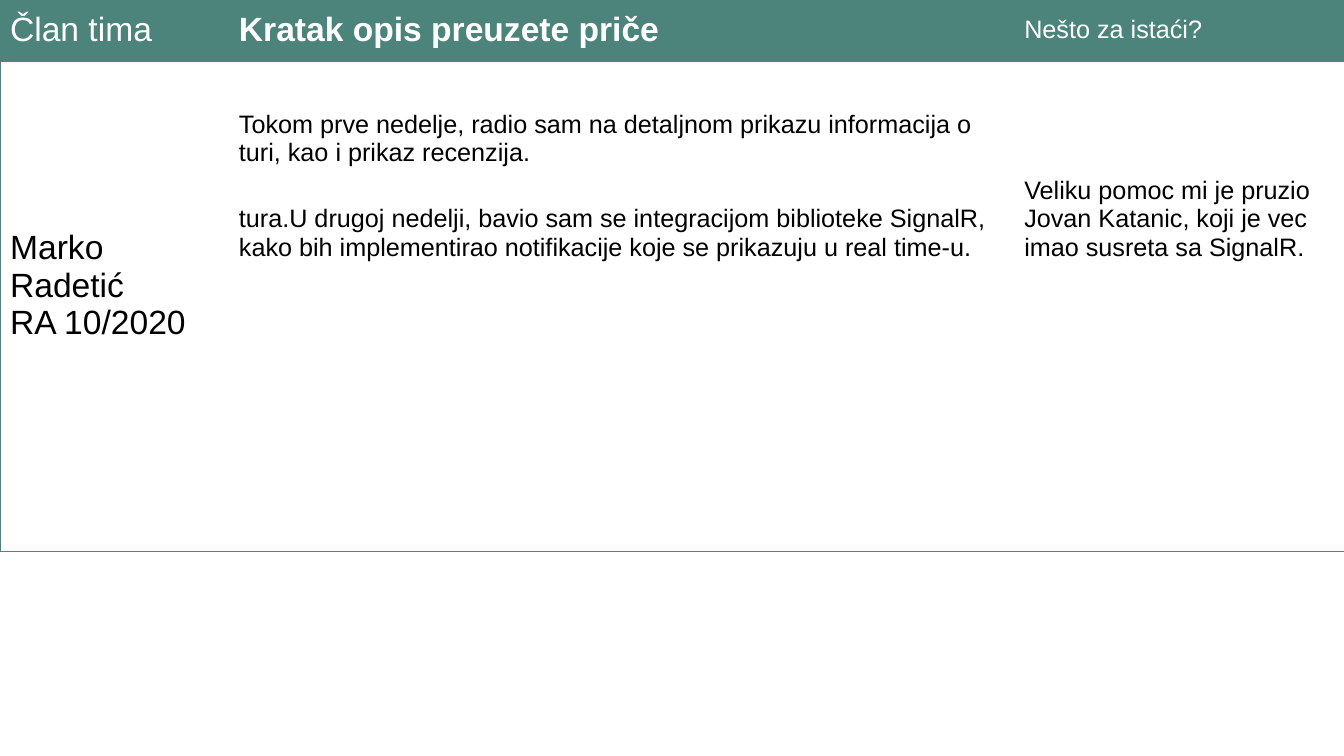
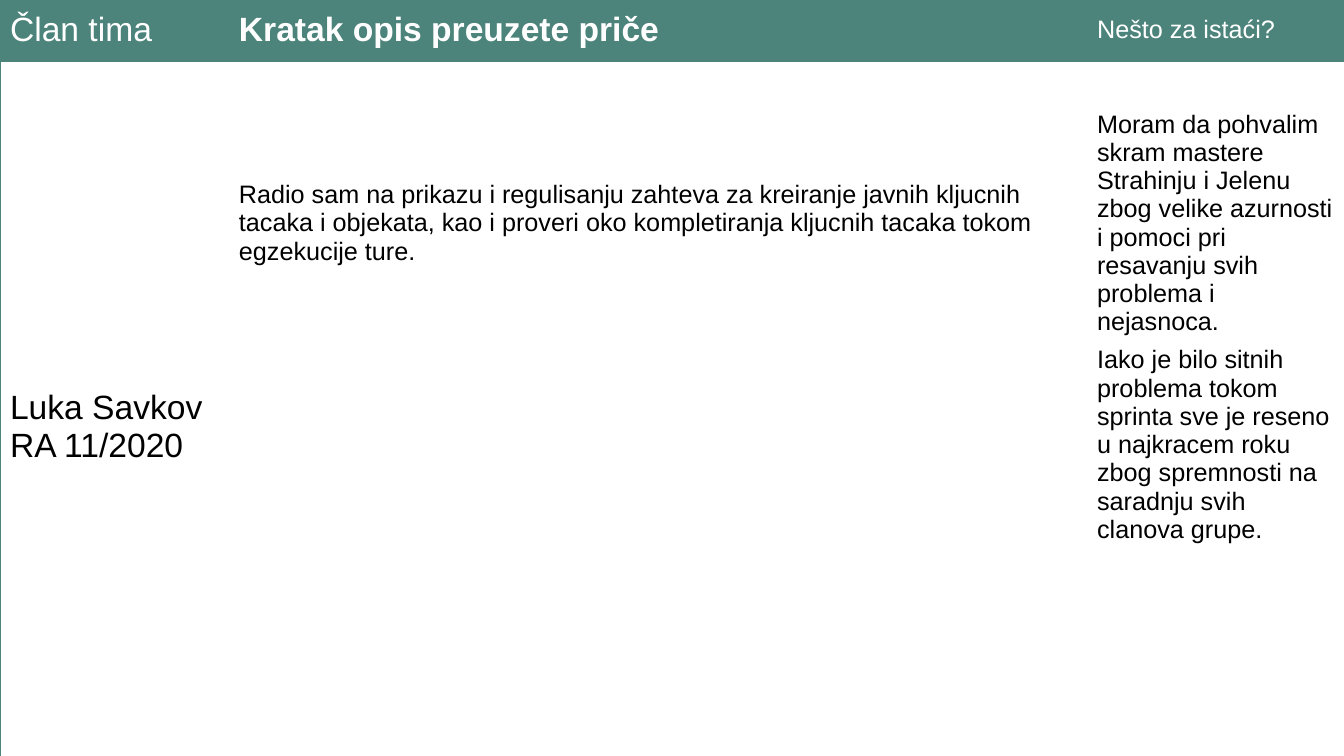
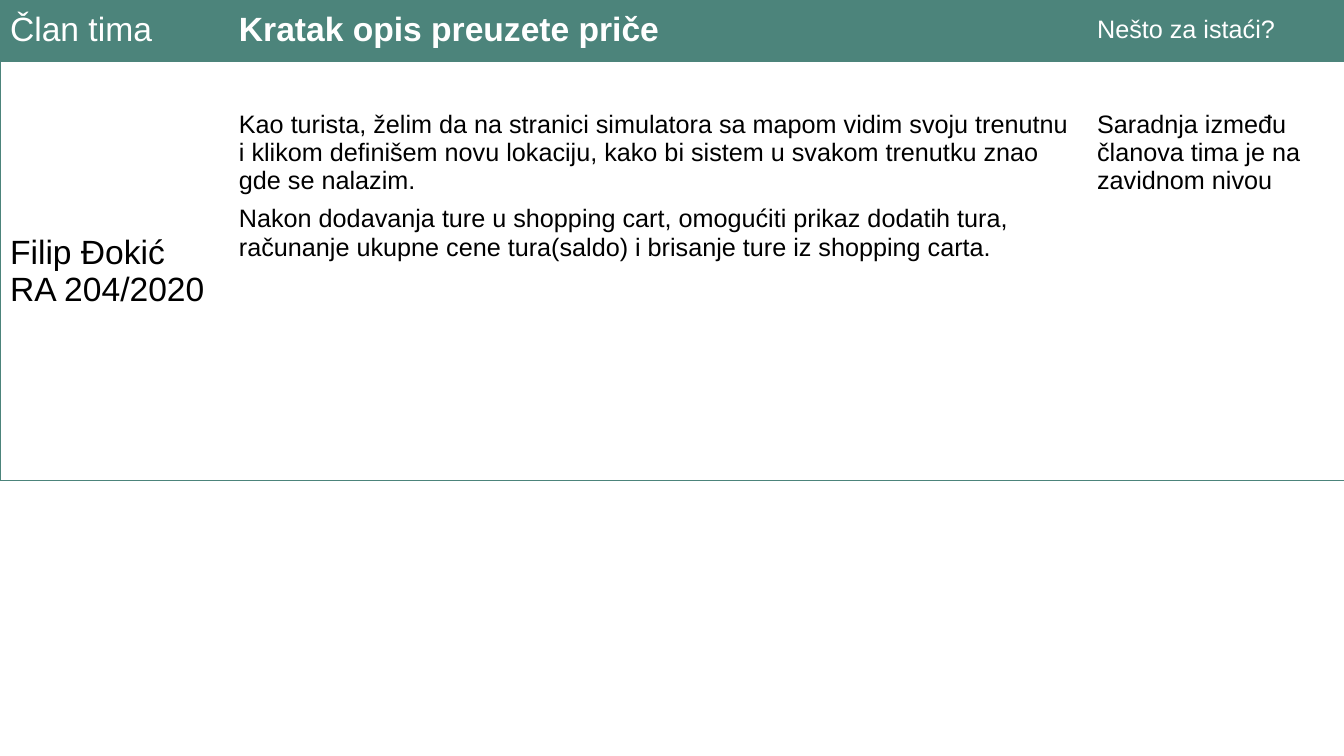
from lxml.etree import SubElement
from pptx import Presentation
from pptx.dml.color import RGBColor
from pptx.enum.text import MSO_ANCHOR
from pptx.oxml.ns import qn
from pptx.util import Pt

GREEN = RGBColor(0x4C, 0x84, 0x7B)
WHITE = RGBColor(0xFF, 0xFF, 0xFF)
BLACK = RGBColor(0x00, 0x00, 0x00)

HEADINGS = [("Član tima", 24, False), ("Kratak opis preuzete priče", 24, True), ("Nešto za istaći?", 18, False)]
TABLE_WIDTH = 961
TABLE_TOP = -2.2
MEMBER_WIDTH = 163.5
HEADER_HEIGHT = 46.8
ROW_HEIGHT = 30.6
LINE_HEIGHT = 20.15
CELL_PADDING = 7.2
MEMBER_ROWS = 8


class TeamReport:
    """Holds the report style and the current slide."""

    font = "Arial"
    border_width = 0.75

    def __init__(self):
        """Start a widescreen presentation."""
        self.presentation = Presentation()
        self.presentation.slide_width = Pt(960)
        self.presentation.slide_height = Pt(540)
        self.slide = None

    def add_slide(self):
        """Add a blank slide and make it current."""
        self.slide = self.presentation.slides.add_slide(self.presentation.slide_layouts[6])

    def set_borders(self, cell, sides):
        """Draw the named sides of a cell and clear the others."""
        properties = cell._tc.get_or_add_tcPr()
        for side in "LRTB":
            line = SubElement(properties, qn(f"a:ln{side}"), w=str(Pt(self.border_width)))
            if side in sides:
                fill = SubElement(line, qn("a:solidFill"))
                SubElement(fill, qn("a:srgbClr"), val=str(GREEN))
            else:
                SubElement(line, qn("a:noFill"))

    def write_cell(self, cell, text, size, color=BLACK, bold=False, anchor=MSO_ANCHOR.MIDDLE):
        """Fill a cell with text in the report font."""
        cell.vertical_anchor = anchor
        cell.text_frame.text = text
        for paragraph in cell.text_frame.paragraphs:
            for run in paragraph.runs:
                run.font.name = self.font
                run.font.size = Pt(size)
                run.font.bold = bold
                run.font.color.rgb = color

    def style_cell(self, cell, row, column, last_row):
        """Give a cell its borders and fill according to its place."""
        sides = {0: "L", 2: "R"}.get(column, "")
        if row == 0:
            sides += "T"
        closes_member = row >= MEMBER_ROWS or cell.is_merge_origin
        if row == last_row or (row and row % 2 == 0 and column) or (column == 0 and closes_member):
            sides += "B"
        self.set_borders(cell, sides)
        if row == 0:
            cell.fill.solid()
            cell.fill.fore_color.rgb = GREEN
        else:
            cell.fill.background()

    def add_table(self, story_width, line_counts, row_count):
        """Add the empty report table, with rows sized by their line counts."""
        heights = [HEADER_HEIGHT] + [ROW_HEIGHT] * (row_count - 1)
        for row, lines in line_counts.items():
            heights[row] = round(lines * LINE_HEIGHT + CELL_PADDING, 2)
        frame = self.slide.shapes.add_table(
            row_count, 3, Pt(0), Pt(TABLE_TOP), Pt(TABLE_WIDTH), Pt(sum(heights)))
        table = frame.table
        table.first_row = False
        table.horz_banding = False
        widths = [MEMBER_WIDTH, story_width, TABLE_WIDTH - MEMBER_WIDTH - story_width]
        for column, width in zip(table.columns, widths):
            column.width = Pt(width)
        for row, height in zip(table.rows, heights):
            row.height = Pt(height)
        table.cell(1, 0).merge(table.cell(MEMBER_ROWS, 0))
        for row in range(row_count):
            for column in range(3):
                self.style_cell(table.cell(row, column), row, column, row_count - 1)
        return table

    def add_member(self, member, story_width, line_counts, entries, row_count=9):
        """Add a slide that reports the work of one team member."""
        self.add_slide()
        table = self.add_table(story_width, line_counts, row_count)
        for column, (heading, size, bold) in enumerate(HEADINGS):
            self.write_cell(table.cell(0, column), heading, size, WHITE, bold)
        self.write_cell(table.cell(1, 0), member, 24)
        for (row, column), text in entries.items():
            anchor = MSO_ANCHOR.TOP if column == 2 else MSO_ANCHOR.MIDDLE
            self.write_cell(table.cell(row, column), text, 18, anchor=anchor)


def main():
    """Build the three member slides and save them."""
    report = TeamReport()
    report.add_member("Marko Radetić\nRA 10/2020", 561, {2: 2, 3: 4}, {
        (2, 1): "Tokom prve nedelje, radio sam na detaljnom prikazu informacija o turi, "
                "kao i prikaz recenzija.",
        (3, 1): "tura.U drugoj nedelji, bavio sam se integracijom biblioteke SignalR, "
                "kako bih implementirao notifikacije koje se prikazuju u real time-u.",
        (3, 2): "Veliku pomoc mi je pruzio Jovan Katanic, koji je vec imao susreta sa SignalR.",
    }, row_count=10)
    report.add_member("Luka Savkov\nRA 11/2020", 613, {2: 8, 3: 8}, {
        (2, 1): "Radio sam na prikazu i regulisanju zahteva za kreiranje javnih kljucnih tacaka "
                "i objekata, kao i proveri oko kompletiranja kljucnih tacaka tokom egzekucije ture.",
        (2, 2): "Moram da pohvalim skram mastere Strahinju i Jelenu zbog velike azurnosti "
                "i pomoci pri resavanju svih problema i nejasnoca.",
        (3, 2): "Iako je bilo sitnih problema tokom sprinta sve je reseno u najkracem roku "
                "zbog spremnosti na saradnju svih clanova grupe.",
    })
    report.add_member("Filip Đokić\nRA 204/2020", 613, {2: 3, 3: 2}, {
        (2, 1): "Kao turista, želim da na stranici simulatora sa mapom vidim svoju trenutnu "
                "i klikom definišem novu lokaciju, kako bi sistem u svakom trenutku znao gde se nalazim.",
        (2, 2): "Saradnja između članova tima je na zavidnom nivou",
        (3, 1): "Nakon dodavanja ture u shopping cart, omogućiti prikaz dodatih tura, "
                "računanje ukupne cene tura(saldo) i brisanje ture iz shopping carta.",
    })
    report.presentation.save("out.pptx")


if __name__ == "__main__":
    main()
